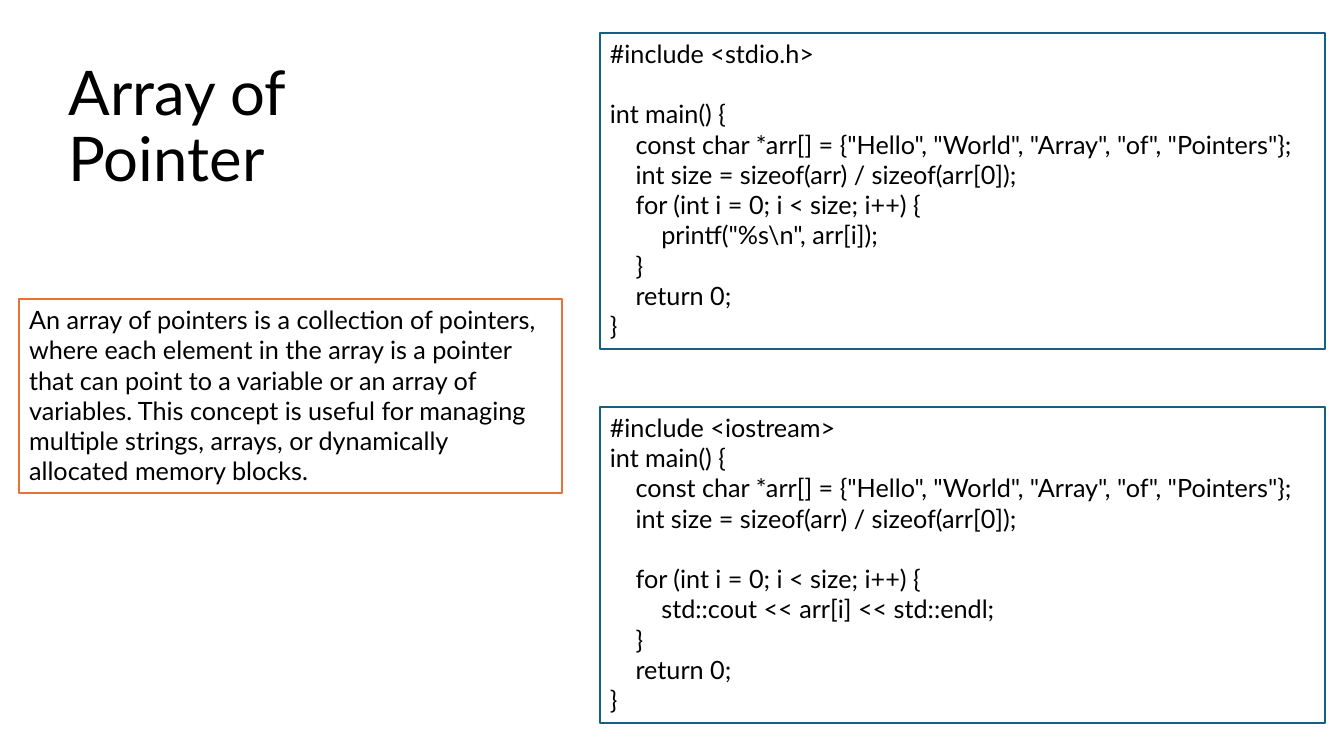
"""Build the slide that explains an array of pointers in C and C++."""
from dataclasses import dataclass

import pptx
import pptx.dml.color
import pptx.enum.shapes
import pptx.enum.text
import pptx.shapes.base
import pptx.slide
import pptx.text.text
import pptx.util

BLACK = pptx.dml.color.RGBColor(0x00, 0x00, 0x00)
WHITE = pptx.dml.color.RGBColor(0xFF, 0xFF, 0xFF)
ORANGE = pptx.dml.color.RGBColor(0xE9, 0x71, 0x32)
TEAL = pptx.dml.color.RGBColor(0x15, 0x60, 0x82)
FONT_NAME = "Lato"

TITLE = "Array of\vPointer"
DEFINITION = (
    "An array of pointers is a collection of pointers, where each element in the "
    "array is a pointer that can point to a variable or an array of variables. "
    "This concept is useful for managing multiple strings, arrays, or dynamically "
    "allocated memory blocks."
)
C_CODE = r"""#include <stdio.h>

int main() {
    const char *arr[] = {"Hello", "World", "Array", "of", "Pointers"};
    int size = sizeof(arr) / sizeof(arr[0]);
    for (int i = 0; i < size; i++) {
        printf("%s\n", arr[i]);
    }
    return 0;
}"""
CPP_CODE = """#include <iostream>
int main() {
    const char *arr[] = {"Hello", "World", "Array", "of", "Pointers"};
    int size = sizeof(arr) / sizeof(arr[0]);

    for (int i = 0; i < size; i++) {
        std::cout << arr[i] << std::endl;
    }
    return 0;
}"""


@dataclass(frozen=True)
class Panel:
    text: str
    left: float
    top: float
    width: float
    height: float
    border: pptx.dml.color.RGBColor


PANELS = [
    Panel(DEFINITION, 0.19, 2.97, 5.38, 1.92, ORANGE),
    Panel(C_CODE, 5.95, 0.33, 7.19, 3.13, TEAL),
    Panel(CPP_CODE, 5.95, 4.04, 7.19, 3.13, TEAL),
]


def write_text(
    text_frame: pptx.text.text.TextFrame,
    text: str,
    *,
    size: float,
    anchor: pptx.enum.text.MSO_ANCHOR,
    auto_size: pptx.enum.text.MSO_AUTO_SIZE,
    line_spacing: float = 1.0,
) -> None:
    text_frame.text = text
    text_frame.word_wrap = True
    text_frame.vertical_anchor = anchor
    text_frame.auto_size = auto_size
    for paragraph in text_frame.paragraphs:
        paragraph.alignment = pptx.enum.text.PP_ALIGN.LEFT
        paragraph.line_spacing = line_spacing
        for font in [paragraph.font, *(run.font for run in paragraph.runs)]:
            font.name = FONT_NAME
            font.size = pptx.util.Pt(size)
            font.color.rgb = BLACK


def place(
    shape: pptx.shapes.base.BaseShape,
    left: float,
    top: float,
    width: float,
    height: float,
) -> None:
    shape.left, shape.top = pptx.util.Inches(left), pptx.util.Inches(top)
    shape.width, shape.height = pptx.util.Inches(width), pptx.util.Inches(height)


def add_panel(slide: pptx.slide.Slide, panel: Panel) -> None:
    shape = slide.shapes.add_shape(
        pptx.enum.shapes.MSO_SHAPE.RECTANGLE, 0, 0, 0, 0
    )
    place(shape, panel.left, panel.top, panel.width, panel.height)
    shape.shadow.inherit = False
    shape.fill.solid()
    shape.fill.fore_color.rgb = WHITE
    shape.line.color.rgb = panel.border
    shape.line.width = pptx.util.Pt(1.5)
    write_text(
        shape.text_frame,
        panel.text,
        size=18,
        anchor=pptx.enum.text.MSO_ANCHOR.TOP,
        auto_size=pptx.enum.text.MSO_AUTO_SIZE.SHAPE_TO_FIT_TEXT,
    )


def main() -> None:
    presentation = pptx.Presentation()
    presentation.slide_width = pptx.util.Inches(13.33)
    presentation.slide_height = pptx.util.Inches(7.5)
    slide = presentation.slides.add_slide(
        presentation.slide_layouts.get_by_name("Title Only")
    )
    title = slide.shapes.title
    place(title, 0.58, 0.55, 4.53, 1.45)
    write_text(
        title.text_frame,
        TITLE,
        size=44,
        anchor=pptx.enum.text.MSO_ANCHOR.MIDDLE,
        auto_size=pptx.enum.text.MSO_AUTO_SIZE.NONE,
        line_spacing=0.9,
    )
    for panel in PANELS:
        add_panel(slide, panel)
    presentation.save("out.pptx")


if __name__ == "__main__":
    main()
